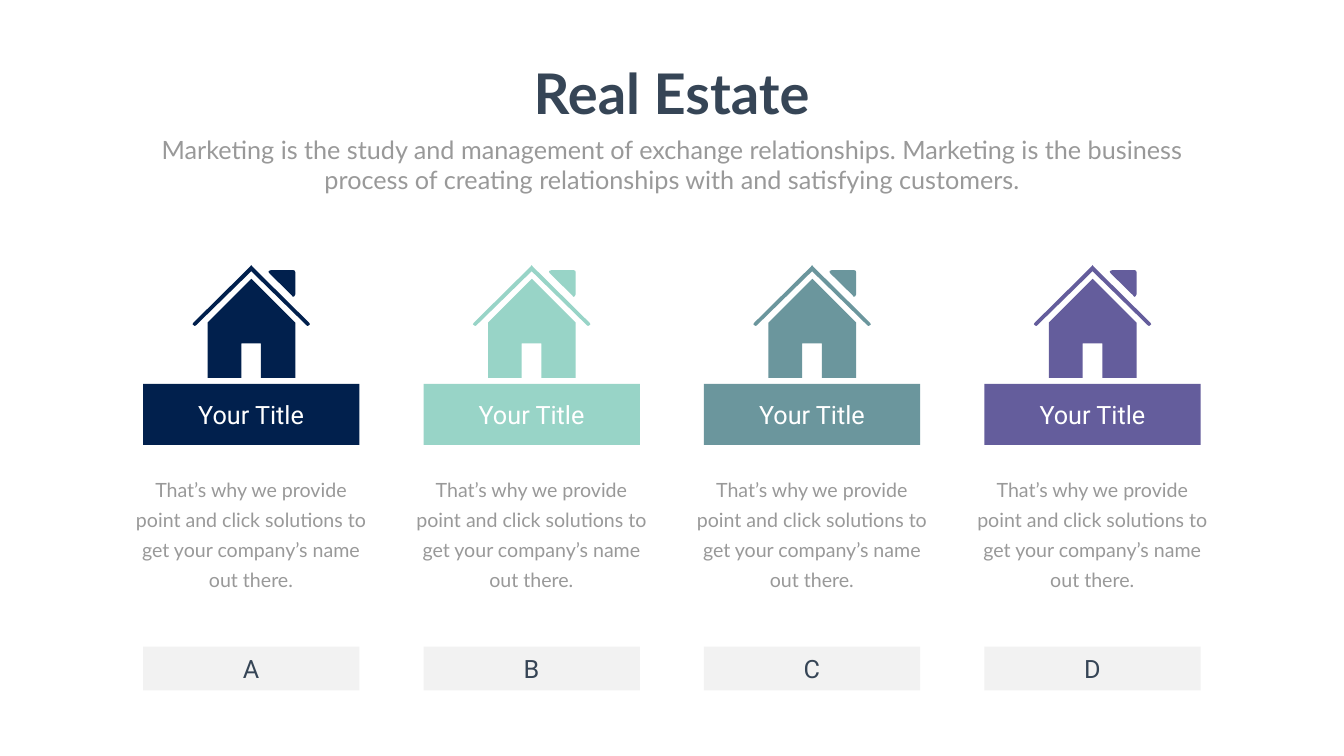
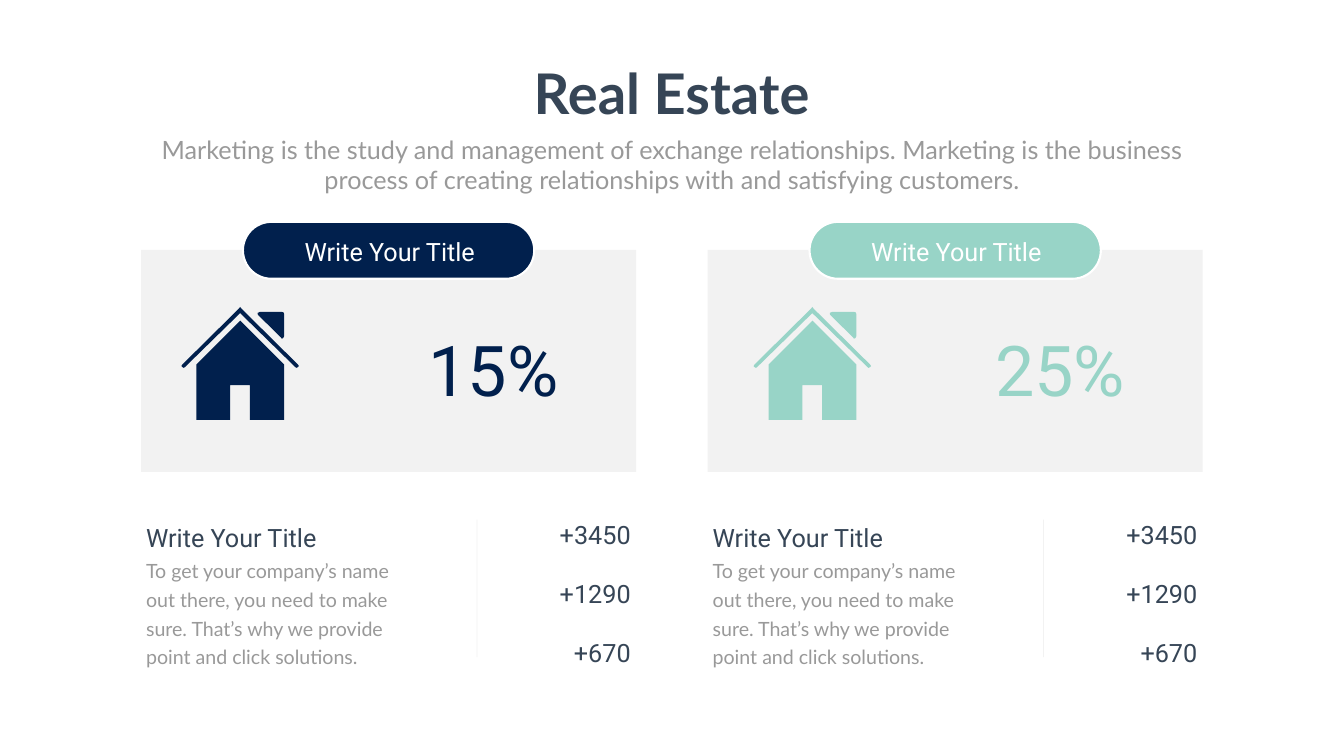
from lxml import etree
from pptx import Presentation
from pptx import util as u
from pptx.dml.color import RGBColor
from pptx.enum import shapes, text
from pptx.oxml import ns

Cm, Pt = u.Cm, u.Pt
NAVY, MINT, TEAL, PURPLE = "01204D", "98D4C7", "6B969D", "645D9C"
WHITE, INK, GREY, SHADE = "FFFFFF", "364556", "999999", "808080"
CENTER, LEFT, RIGHT = text.PP_ALIGN.CENTER, text.PP_ALIGN.LEFT, text.PP_ALIGN.RIGHT

# House outline, in hundredths of a centimetre
CHIMNEY = [(500, 152), (506, 160), (513, 157), (518, 147), (518, 36), (515, 28),
           (506, 25), (396, 25), (384, 30), (384, 36), (389, 43)]
WALLS = [(76, 290), (76, 569), (246, 569), (246, 394), (345, 394), (345, 569),
         (518, 569), (518, 290), (297, 69)]
EAVE = [(290, 8), (5, 290), (0, 298), (5, 303), (12, 307), (18, 303)]
ROOF = [(296, 0), *EAVE, (296, 31), *[(592 - x, y) for x, y in reversed(EAVE)]]


def paint(shape, color, alpha=None):
    """Give a shape a plain fill, or a connector a plain line; alpha is in percent."""
    properties = shape.element.spPr
    if hasattr(shape, "begin_x"):
        fill = shape.line.fill
        etree.SubElement(properties, ns.qn("a:effectLst"))
    else:
        fill = shape.fill
        shape.shadow.inherit = False
        shape.line.fill.background()
    fill.solid()
    fill.fore_color.rgb = RGBColor.from_string(color)
    if alpha:
        tint = next(properties.iter(ns.qn("a:srgbClr")))
        etree.SubElement(tint, ns.qn("a:alpha"), val=str(alpha * 1000))
    return shape


def write(slide, words, left, top, width, height, box=None, size=36, font="Roboto",
          color=INK, align=CENTER, bold=False, spacing=1, wrap=True,
          anchor=text.MSO_ANCHOR.TOP, inset=True):
    """Write words in the given placeholder, or in a new text box; lengths in cm."""
    place = [Cm(length) for length in (left, top, width, height)]
    box = box or slide.shapes.add_textbox(*place)
    box.left, box.top, box.width, box.height = place
    frame = box.text_frame
    frame.word_wrap = wrap
    frame.auto_size = text.MSO_AUTO_SIZE.SHAPE_TO_FIT_TEXT
    frame.vertical_anchor = anchor
    if not inset:
        frame.margin_left = frame.margin_right = frame.margin_top = frame.margin_bottom = 0
    paragraph = frame.paragraphs[0]
    paragraph.alignment = align
    paragraph.line_spacing = spacing
    run = paragraph.add_run()
    run.text = words
    run.font.size, run.font.name, run.font.bold = Pt(size), font, bold
    run.font.color.rgb = RGBColor.from_string(color)


deck = Presentation()
deck.slide_width, deck.slide_height = Cm(67.72), Cm(38.1)

# Heading shared by both slides
for _ in range(2):
    slide = deck.slides.add_slide(deck.slide_layouts[5])
    write(slide, "Real Estate", 26.44, 2.84, 14.81, 3.68, box=slide.shapes.title,
          size=80, font="Lato", bold=True, wrap=False)
    write(slide, "Marketing is the study and management of exchange relationships. "
          "Marketing is the business process of creating relationships with and "
          "satisfying customers.", 7.42, 6.63, 52.88, 3.33, font="Lato", color=GREY)
offers, growth = deck.slides
houses = []

# Slide 1: four offers side by side
for column, (letter, color) in enumerate(zip("ABCD", (NAVY, MINT, TEAL, PURPLE))):
    left = 7.21 + 14.13 * column
    houses.append((offers, left + 2.49, 13.36, color))
    banner = offers.shapes.add_shape(shapes.MSO_SHAPE.RECTANGLE,
                                     Cm(left), Cm(19.35), Cm(10.9), Cm(3.07))
    paint(banner, color)
    write(offers, "Your Title", left + 1.04, 19.99, 8.81, 1.8, color=WHITE)
    write(offers, "That’s why we provide point and click solutions to get your "
          "company’s name out there.", left - 0.66, 23.62, 12.19, 6.22,
          size=28, font="Lato", color=GREY, spacing=Pt(43))
    letter_band = offers.shapes.add_shape(shapes.MSO_SHAPE.RECTANGLE,
                                          Cm(left), Cm(32.59), Cm(10.9), Cm(2.21))
    paint(letter_band, SHADE, alpha=10)
    write(offers, letter, left + 0.26, 32.79, 10.36, 1.8)

# Slide 2: two panels with a share and its figures
for left, house_left, share, color in ((7.11, 9.14, "15%", NAVY),
                                       (35.66, 37.97, "25%", MINT)):
    panel = growth.shapes.add_shape(shapes.MSO_SHAPE.RECTANGLE,
                                    Cm(left), Cm(12.6), Cm(24.94), Cm(11.18))
    paint(panel, SHADE, alpha=10)
    pill = growth.shapes.add_shape(shapes.MSO_SHAPE.ROUNDED_RECTANGLE,
                                   Cm(left + 5.13), Cm(11.18), Cm(14.68), Cm(2.87))
    pill.adjustments[0] = 0.5
    paint(pill, color)
    pill.line.color.rgb = RGBColor.from_string(WHITE)
    pill.line.width = Pt(3)
    write(growth, "Write Your Title", left + 6.8, 11.79, 11.46, 1.8, color=WHITE)
    write(growth, share, left + 12.52, 16.43, 10.46, 4.27, size=100, color=color,
          anchor=text.MSO_ANCHOR.MIDDLE, inset=False)
    houses.append((growth, house_left, 15.47, color))

    write(growth, "To get your company’s name out there, you need to make sure. "
          "That’s why we provide point and click solutions.", left, 27.81, 13.49, 5.94,
          size=28, font="Lato", color=GREY, align=LEFT, spacing=Pt(40.8))
    write(growth, "Write Your Title", left, 26.19, 14.53, 1.8, align=LEFT)
    divider = growth.shapes.add_connector(shapes.MSO_CONNECTOR.STRAIGHT, Cm(left + 16.92),
                                          Cm(26.19), Cm(left + 16.92), Cm(33.12))
    divider.line.width = Pt(1)
    paint(divider, SHADE, alpha=10)
    for row, figure in enumerate(("+3450", "+1290", "+670")):
        write(growth, figure, left + 18.29, 26.04 + 2.97 * row, 6.63, 1.8, align=RIGHT)

for slide, left, top, color in houses:
    house = slide.shapes.add_group_shape()
    for outline in (CHIMNEY, WALLS, ROOF):
        builder = house.shapes.build_freeform(*outline[0], scale=Cm(0.01))
        builder.add_line_segments(outline[1:], close=True)
        paint(builder.convert_to_shape(Cm(left), Cm(top)), color)

deck.save("out.pptx")
